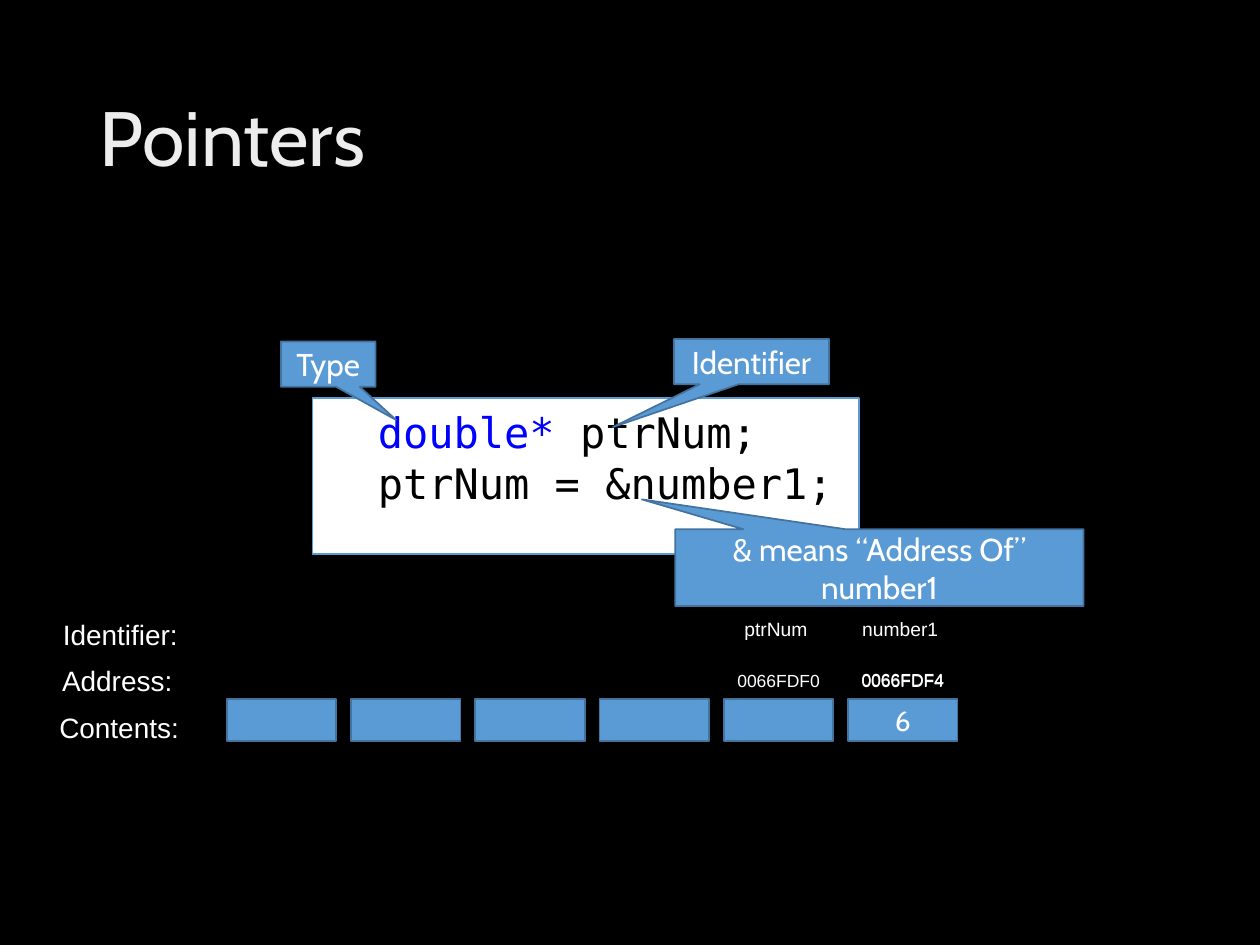
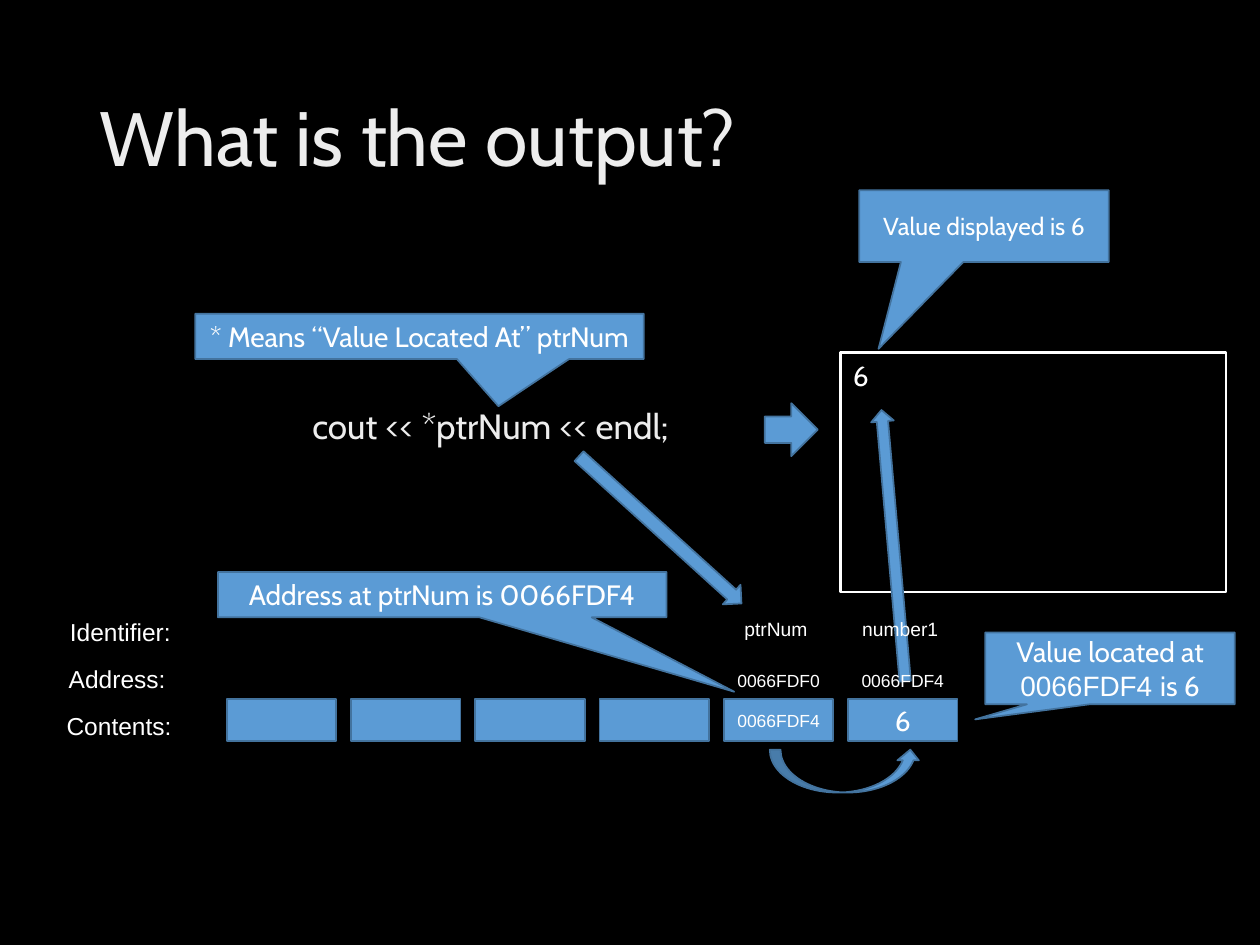
from pptx import Presentation
from pptx.dml.color import RGBColor
from pptx.enum.shapes import MSO_SHAPE as Preset
from pptx.enum.text import MSO_ANCHOR as Anchor, MSO_AUTO_SIZE as AutoSize, PP_ALIGN as Align
from pptx.util import Inches, Pt

BLACK, WHITE, SOFT_WHITE = "000000", "FFFFFF", "EDEDED"
BLUE, DARK_BLUE, KEYWORD_BLUE = "5B9BD5", "43739E", "0000FF"
MAIN_FONT, LABEL_FONT, CODE_FONT = "Cabin", "Arial", "DejaVu Sans Mono"

TITLE_BOX = (0.69, 0.4, 8.62, 1.45)
MEMORY_BOX = (1.8, 4.85, 5.8, 1.03)
CELL_COUNT, CELL_WIDTH, CELL_HEIGHT = 6, 0.87, 0.33
NAMED_CELLS = {4: ("ptrNum", "0066FDF0"), 5: ("number1", "0066FDF4")}


def rgb(hex_color):
    return RGBColor.from_string(hex_color)


def write(frame, *paragraphs, size=16, font=MAIN_FONT, color=WHITE, align=Align.CENTER,
          anchor=Anchor.MIDDLE, wrap=True, auto_size=AutoSize.NONE, spacing=None,
          before=0, after=0):
    """Fill a frame; a paragraph is a string or a list of (text, format) spans."""
    frame.word_wrap = wrap
    frame.auto_size = auto_size
    frame.vertical_anchor = anchor
    for index, spans in enumerate(paragraphs):
        para = frame.add_paragraph() if index else frame.paragraphs[0]
        para.alignment = align
        para.line_spacing = spacing
        para.space_before, para.space_after = Pt(before), Pt(after)
        if isinstance(spans, str):
            spans = [(spans, {})]
        for text, style in spans:
            span = para.add_run()
            span.text = text
            span.font.size = Pt(size)
            span.font.name = style.get("font", font)
            span.font.color.rgb = rgb(style.get("color", color))


def add_text(page, box, *paragraphs, anchor=Anchor.TOP, auto_size=AutoSize.SHAPE_TO_FIT_TEXT,
             **style):
    text_box = page.shapes.add_textbox(*map(Inches, box))
    write(text_box.text_frame, *paragraphs, anchor=anchor, auto_size=auto_size, **style)


def add_block(page, preset, box, *paragraphs, fill=BLUE, line=DARK_BLUE, line_width=1,
              rotation=0, **style):
    block = page.shapes.add_shape(preset, *map(Inches, box))
    block.shadow.inherit = False
    block.fill.solid()
    block.fill.fore_color.rgb = rgb(fill)
    block.line.color.rgb = rgb(line)
    block.line.width = Pt(line_width)
    block.rotation = rotation
    if paragraphs:
        write(block.text_frame, *paragraphs, **style)
    return block


def add_callout(page, box, tip, *paragraphs, **style):
    """Draw a callout whose tip is given as fractions of its size from its centre."""
    callout = add_block(page, Preset.RECTANGULAR_CALLOUT, box, *paragraphs, **style)
    callout.adjustments[0], callout.adjustments[1] = tip


def add_titled_page(deck, title):
    page = deck.slides.add_slide(deck.slide_layouts[5])
    heading = page.shapes.title
    heading.left, heading.top, heading.width, heading.height = map(Inches, TITLE_BOX)
    write(heading.text_frame, title, size=44, color=SOFT_WHITE, align=Align.LEFT, spacing=0.9)
    return page


def add_row_labels(page, box, size):
    left, top, width, height = box
    add_text(page, (left + 0.01, top, width, height), "Identifier:", size=size, font=LABEL_FONT)
    add_text(page, (left + 0.02, top + 0.37, width - 0.07, height), "Address:",
             size=size, font=LABEL_FONT)
    add_text(page, (left, top + 0.74, width, height), "Contents:", size=size, font=LABEL_FONT)


def add_memory(page, box, contents):
    """Draw the row of cells along the foot of the box, with names and addresses above."""
    left, top, width, height = box
    step = (width - CELL_WIDTH) / (CELL_COUNT - 1)
    cell_top = top + height - CELL_HEIGHT
    for index in range(CELL_COUNT):
        cell_left = left + index * step
        value, style = contents.get(index, (None, {}))
        add_block(page, Preset.RECTANGLE, (cell_left, cell_top, CELL_WIDTH, CELL_HEIGHT),
                  *([value] if value else []), **style)
        if index in NAMED_CELLS:
            name, address = NAMED_CELLS[index]
            add_text(page, (cell_left, cell_top - 0.28, CELL_WIDTH, 0.27), address,
                     size=10, font=LABEL_FONT)
            add_text(page, (cell_left - 0.02, top, CELL_WIDTH, 0.29), name,
                     size=11, font=LABEL_FONT)


def add_code_panel(page, box):
    left, top, width, height = box
    add_block(page, Preset.RECTANGLE, box, fill=WHITE, line=BLUE)
    add_text(page, (left + 0.42, top + 0.02, 3.83, 0.91),
             [("double* ", {"color": KEYWORD_BLUE}), ("ptrNum;", {})], "ptrNum = &number1;",
             size=24, font=CODE_FONT, color=BLACK, align=Align.LEFT)
    add_callout(page, (left - 0.25, top - 0.45, 0.75, 0.36), (0.718, 1.233), "Type", size=18)
    add_callout(page, (left + 2.87, top - 0.47, 1.23, 0.36), (-0.894, 1.444), "Identifier",
                size=18)
    add_callout(page, (left + 2.88, top + 1.04, 3.24, 0.61), (-0.582, -0.888),
                "& means “Address Of” number1", size=18)


def add_output_screen(page, box):
    left, top, width, height = box
    add_block(page, Preset.RECTANGLE, box, "6", fill=BLACK, line=WHITE, line_width=1.5,
              align=Align.LEFT, anchor=Anchor.TOP)
    add_block(page, Preset.RIGHT_ARROW, (left - 0.6, top + 0.4, 0.42, 0.42))
    add_block(page, Preset.RIGHT_ARROW, (left - 0.66, top + 1.44, 2.16, 0.18), rotation=265)
    add_callout(page, (left + 0.15, top - 1.29, 1.98, 0.57), (-0.423, 1.709),
                "Value displayed is 6", size=14)


def add_statement(page, box):
    left, top, width, height = box
    add_text(page, box, "cout << *ptrNum << endl;", size=20, color=SOFT_WHITE,
             align=Align.LEFT, auto_size=AutoSize.NONE, spacing=0.9, before=7.5, after=12)
    add_callout(page, (left - 0.83, top - 0.71, 3.56, 0.36), (0.176, 1.54),
                "* Means “Value Located At” ptrNum")


def add_memory_notes(page, box):
    """Place the callouts and arrows that explain the cells in the box."""
    left, top, width, height = box
    add_callout(page, (left + 6.02, top + 0.17, 1.98, 0.57), (-0.541, 0.71),
                [("Value located at ", {}), ("0066FDF4 ", {"font": LABEL_FONT}), ("is 6", {})])
    add_block(page, Preset.CURVED_UP_ARROW, (left + 4.31, top + 1.1, 1.2, 0.34))
    add_callout(page, (left - 0.07, top - 0.31, 3.56, 0.36), (0.651, 2.141),
                "Address at ptrNum is 0066FDF4")
    add_block(page, Preset.RIGHT_ARROW, (left + 2.57, top - 0.75, 1.74, 0.21), rotation=42.2)


def build_pointers_page(deck):
    page = add_titled_page(deck, "Pointers")
    add_code_panel(page, (2.48, 3.16, 4.34, 1.24))
    add_row_labels(page, (0.35, 4.85, 1.19, 0.37), size=16)
    add_memory(page, MEMORY_BOX, {5: ("6", {})})
    add_text(page, (6.74, 5.26, 0.86, 0.27), "0066FDF4", size=10, font=LABEL_FONT,
             align=Align.LEFT, wrap=False)


def build_output_page(deck):
    page = add_titled_page(deck, "What is the output?")
    add_output_screen(page, (6.67, 2.8, 3.06, 1.9))
    add_statement(page, (2.38, 3.2, 3.79, 0.55))
    add_memory_notes(page, MEMORY_BOX)
    add_row_labels(page, (0.35, 4.85, 1.19, 0.34), size=14)
    add_memory(page, MEMORY_BOX,
               {4: ("0066FDF4", {"size": 10, "font": LABEL_FONT}), 5: ("6", {})})


def main():
    deck = Presentation()
    deck.slide_width, deck.slide_height = Inches(10), Inches(7.5)
    backdrop = deck.slide_master.background.fill
    backdrop.solid()
    backdrop.fore_color.rgb = rgb(BLACK)
    build_pointers_page(deck)
    build_output_page(deck)
    deck.save("out.pptx")


if __name__ == "__main__":
    main()
